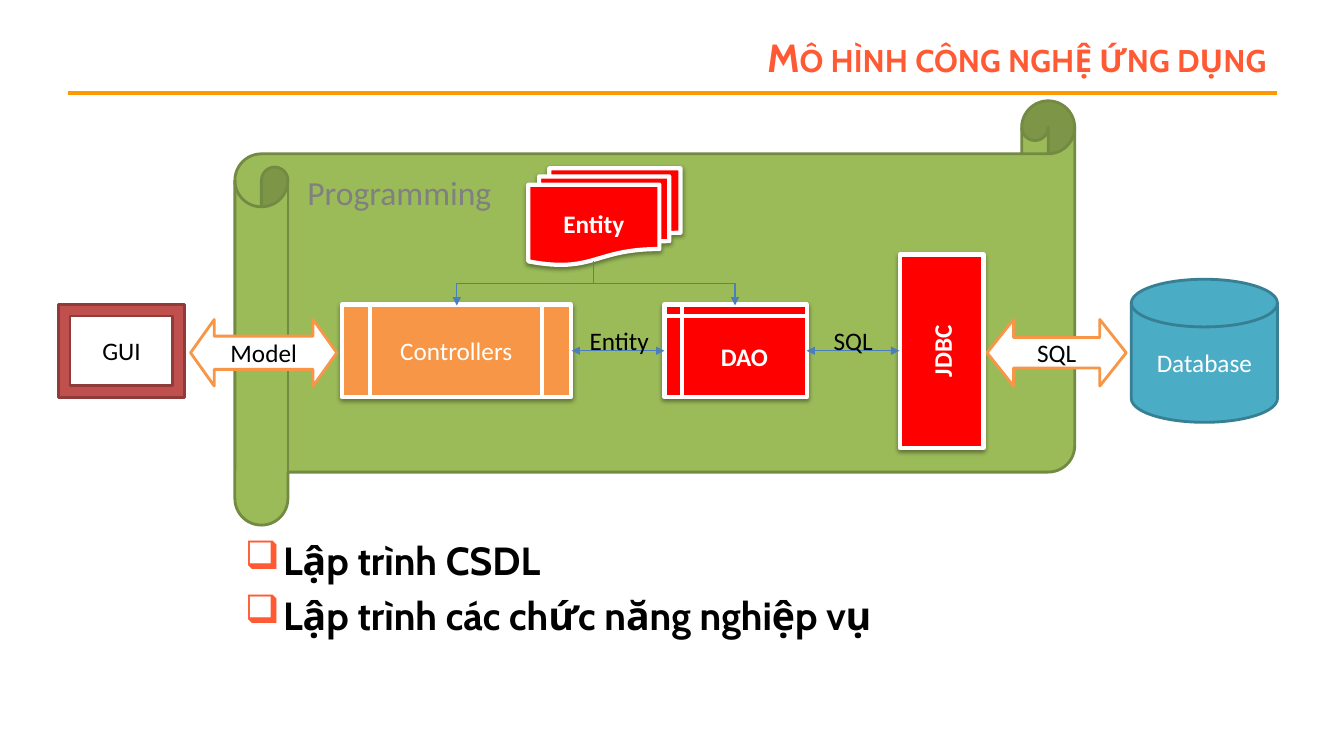
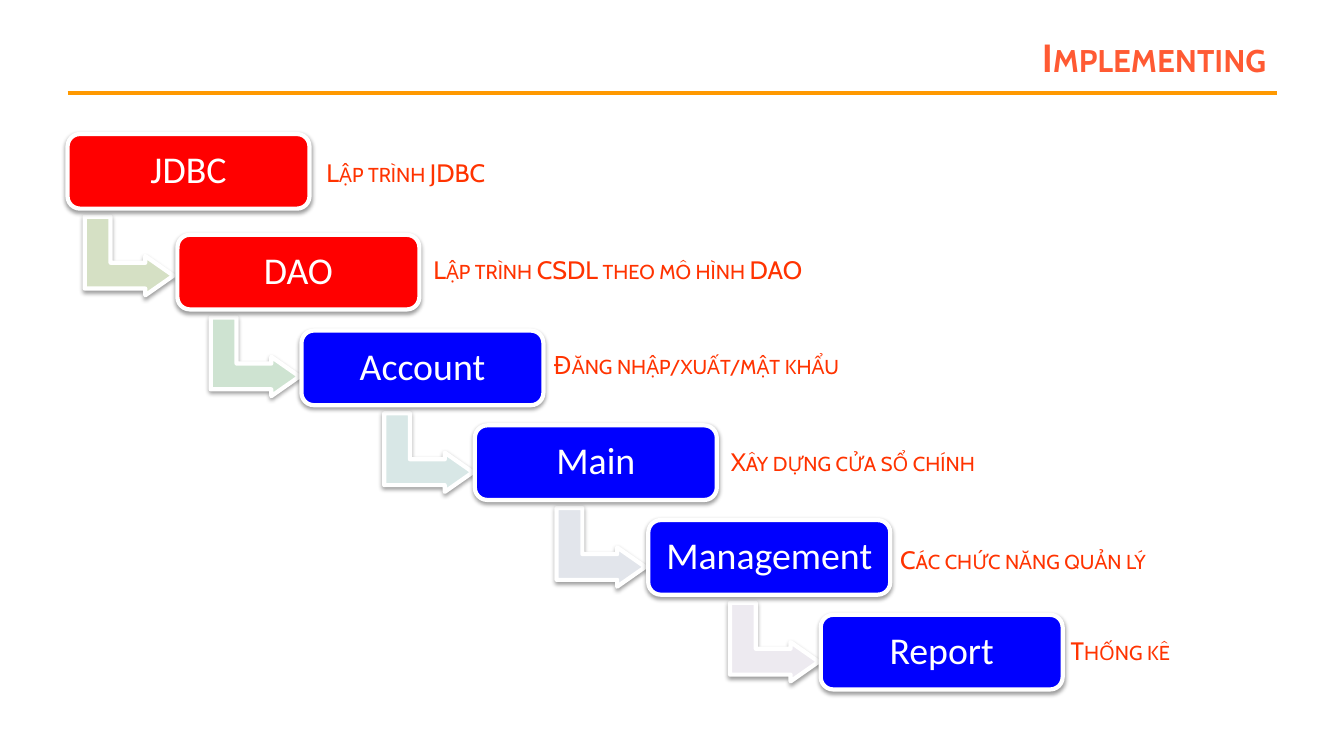
from lxml.etree import SubElement as Sub
from pptx import Presentation
from pptx.dml.color import RGBColor as RGB
from pptx.enum.shapes import MSO_CONNECTOR as Wire, MSO_SHAPE as Kind
from pptx.enum.text import MSO_ANCHOR as Anchor, MSO_AUTO_SIZE as Fit, PP_ALIGN as Align
from pptx.oxml.ns import qn
from pptx.util import Inches, Pt

WHITE = RGB(0xFF, 0xFF, 0xFF)
BLACK = RGB(0, 0, 0)
GRAY = RGB(0x80, 0x80, 0x80)
RED = RGB(0xFF, 0, 0)
BLUE = RGB(0, 0, 0xFF)
CORAL = RGB(0xFF, 0x5A, 0x33)
FLAME = RGB(0xFF, 0x33, 0)
GOLD = RGB(0xFF, 0x99, 0)
AMBER = RGB(0xF7, 0x96, 0x46)
GREEN = RGB(0x9B, 0xBB, 0x59)
MOSS = RGB(0x73, 0x8A, 0x42)
TEAL = RGB(0x4B, 0xAC, 0xC6)
DEEP = RGB(0x37, 0x7F, 0x92)
BRICK = RGB(0xC0, 0x50, 0x4D)
RUST = RGB(0x8E, 0x3B, 0x39)
STEEL = RGB(0x4B, 0x7E, 0xBC)
SAGE = RGB(0xD5, 0xE0, 0xC4)
MINT = RGB(0xCE, 0xE3, 0xD1)
MIST = RGB(0xD8, 0xE7, 0xE6)
HAZE = RGB(0xE2, 0xE5, 0xEB)
LILAC = RGB(0xED, 0xEA, 0xF0)


def put(page, kind, box, text="", fill=None, edge=None, size=18, ink=BLACK,
        bold=False, font="Calibri", small=False, adj=(), turn=0):
    area = [Inches(n) for n in box]
    if kind is None:
        item = page.shapes.add_textbox(*area)
    else:
        item = page.shapes.add_shape(kind, *area)
        item.shadow.inherit = False
        item.fill.solid()
        item.fill.fore_color.rgb = fill
        item.line.color.rgb = edge
        item.line.width = Pt(3 if edge == WHITE else 2)
        item.rotation = turn
        for n, part in enumerate(adj):
            item.adjustments[n] = part
        if edge == WHITE:
            glow = item._element.spPr.find(qn("a:effectLst"))
            cast = Sub(glow, qn("a:outerShdw"), blurRad="40000", dist="20000",
                       dir="5400000", rotWithShape="0")
            tone = Sub(cast, qn("a:srgbClr"), val="000000")
            Sub(tone, qn("a:alpha"), val="38000")
    frame = item.text_frame
    if text:
        frame.text = text
    frame.word_wrap = kind is not None
    if kind is None:
        frame.auto_size = Fit.SHAPE_TO_FIT_TEXT
    else:
        frame.vertical_anchor = Anchor.MIDDLE
    for para in frame.paragraphs:
        para.alignment = Align.LEFT if kind is None else Align.CENTER
        for run in para.runs:
            run.font.name = font
            run.font.size = Pt(size)
            run.font.bold = bold
            run.font.color.rgb = ink
            if small:
                run._r.get_or_add_rPr().set("cap", "small")
    return item


def link(page, kind, ends, tint, width, tips=()):
    wire = page.shapes.add_connector(kind, *[Inches(n) for n in ends])
    wire.line.color.rgb = tint
    wire.line.width = Pt(width)
    for tip in tips:
        Sub(wire.line._get_or_add_ln(), qn(tip), type="triangle")
    Sub(wire._element.spPr, qn("a:effectLst"))
    return wire


deck = Presentation()
deck.slide_width = Inches(13.33)
deck.slide_height = Inches(7.5)
pages = []
for name in ("Mô hình công nghệ ứng dụng", "Implementing"):
    page = deck.slides.add_slide(deck.slide_layouts[6])
    link(page, Wire.STRAIGHT, (0.67, 0.92, 12.67, 0.92), GOLD, 3)
    title = put(page, None, (2.44, 0.3, 10.22, 0.53), name, size=28, ink=CORAL,
                bold=True, font="Cabin", small=True).text_frame
    title.auto_size = Fit.NONE
    title.word_wrap = True
    title.vertical_anchor = Anchor.MIDDLE
    title.paragraphs[0].alignment = Align.RIGHT
    pages.append(page)
model, steps = pages

put(model, Kind.HORIZONTAL_SCROLL, (2.33, 1, 8.33, 4.21), fill=GREEN, edge=MOSS)
goals = put(model, None, (2.33, 5.27, 8.33, 1.34),
            "Lập trình CSDL\nLập trình các chức năng nghiệp vụ",
            size=28, bold=True, font="Cabin").text_frame
goals.auto_size = Fit.NONE
goals.word_wrap = True
for para in goals.paragraphs:
    para.space_before = Pt(5.6)
    props = para._p.get_or_add_pPr()
    props.set("marL", str(Inches(0.38)))
    props.set("indent", str(-Inches(0.38)))
    Sub(Sub(props, qn("a:buClr")), qn("a:srgbClr"), val=str(CORAL))
    Sub(props, qn("a:buChar"), char="❑")

for kind, box, text, fill, edge, ink, bold, turn in (
    (Kind.FLOWCHART_MAGNETIC_DISK, (11.22, 2.77, 1.45, 1.42), "Database",
     TEAL, DEEP, WHITE, False, 0),
    (Kind.FRAME, (0.58, 3.02, 1.25, 0.92), "GUI", BRICK, RUST, BLACK, False, 0),
    (Kind.RECTANGLE, (8.38, 3.07, 1.92, 0.83), "JDBC", RED, WHITE, WHITE, True, 270),
    (Kind.FLOWCHART_MULTIDOCUMENT, (5.24, 1.67, 1.51, 0.96), "Entity",
     RED, WHITE, WHITE, True, 0),
    (Kind.FLOWCHART_PREDEFINED_PROCESS, (3.39, 3.02, 2.27, 0.92), "Controllers",
     AMBER, WHITE, WHITE, False, 0),
    (Kind.FLOWCHART_INTERNAL_STORAGE, (6.59, 3.02, 1.41, 0.92), "DAO",
     RED, WHITE, WHITE, True, 0),
):
    put(model, kind, box, text, fill, edge, ink=ink, bold=bold, turn=turn)

for left in (5.67, 8):
    link(model, Wire.STRAIGHT, (left, 3.48, left + 0.92, 3.48), STEEL, 0.75,
         ("a:headEnd", "a:tailEnd"))

start, drop, mid = 5.89, 0.44, 2.81
for end in (4.53, 7.29):
    span = abs(end - start)
    left = (start + end - drop) / 2
    ends = [left, mid - span / 2, left + drop, mid + span / 2]
    if end > start:
        ends[0], ends[2] = ends[2], ends[0]
    bend = link(model, Wire.ELBOW, ends, STEEL, 0.75, ("a:tailEnd",))
    turn = 270 if end > start else 90
    bend._element.spPr.find(qn("a:xfrm")).set("rot", str(turn * 60000))

put(model, None, (8.17, 3.18, 0.59, 0.4), "SQL")
put(model, None, (5.75, 3.18, 0.8, 0.4), "Entity")
for left, width, text, adj in ((1.89, 1.45, "Model", (0.5, 0.356)),
                               (9.79, 1.38, "SQL", (0.459, 0.397))):
    put(model, Kind.LEFT_RIGHT_ARROW, (left, 3.17, width, 0.66), text,
        WHITE, AMBER, adj=adj)
put(model, None, (2.95, 1.66, 2.04, 0.5), "Programming", size=24, ink=GRAY)

for left, top, text, fill, bend, tint, note, side, row, width in (
    (0.67, 1.33, "JDBC", RED, 0.89, SAGE, "Lập trình JDBC", 3.14, 1.51, 1.84),
    (1.76, 2.33, "DAO", RED, 2.14, MINT, "Lập trình CSDL theo mô hình DAO",
     4.2, 2.47, 3.99),
    (2.99, 3.28, "Account", BLUE, 3.86, MIST, "Đăng nhập/xuất/mật khẩu",
     5.39, 3.42, 3.11),
    (4.71, 4.22, "Main", BLUE, 5.57, HAZE, "Xây dựng cửa sổ chính", 7.15, 4.38, 2.7),
    (6.43, 5.16, "Management", BLUE, 7.29, LILAC, "Các chức năng quản lý",
     8.83, 5.35, 2.76),
    (8.14, 6.1, "Report", BLUE, None, None, "Thống kê", 10.52, 6.25, 1.21),
):
    if bend:
        put(steps, Kind.BENT_UP_ARROW, (bend, top + 0.77, 0.78, 0.88), fill=tint,
            edge=WHITE, adj=(0.328, 0.25, 0.358), turn=90)
    step = put(steps, Kind.ROUNDED_RECTANGLE, (left, top, 2.4, 0.74), text, fill,
               WHITE, size=27, ink=WHITE, adj=(0.167,))
    step.text_frame.paragraphs[0].line_spacing = 0.9
    put(steps, None, (side, row, width, 0.4), note, ink=FLAME, font="Cabin", small=True)

deck.save("out.pptx")
